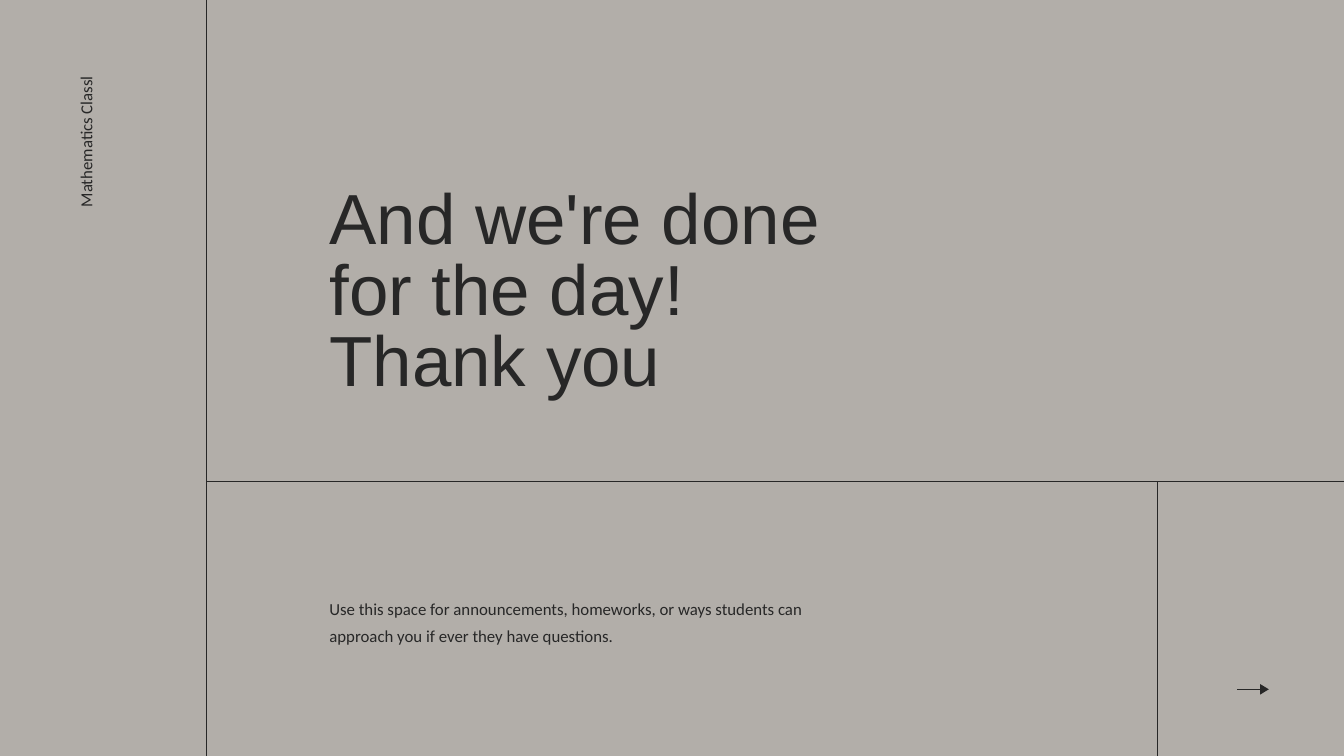
from dataclasses import dataclass

from pptx import Presentation
from pptx.dml.color import RGBColor
from pptx.enum.shapes import MSO_CONNECTOR
from pptx.enum.text import MSO_ANCHOR, MSO_AUTO_SIZE, PP_ALIGN
from pptx.oxml.ns import qn
from pptx.shapes.base import BaseShape
from pptx.slide import Slide
from pptx.util import Cm, Pt

STRAIGHT = MSO_CONNECTOR.STRAIGHT
TOP = MSO_ANCHOR.TOP
FIXED = MSO_AUTO_SIZE.NONE
LEFT, RIGHT = PP_ALIGN.LEFT, PP_ALIGN.RIGHT

COLORS = {"back": "B2AEA9", "ink": "272727"}
INK = RGBColor.from_string(COLORS["ink"])
WIDE, HIGH = 50.8, 28.58
SIDE_X, SPLIT_X, SPLIT_Y = 7.81, 43.75, 18.2
TEXT_X = 12.45
ARROW_Y = 26.06


@dataclass
class Rule:
    x1: float
    y1: float
    x2: float
    y2: float
    weight: float = 0.75


@dataclass
class Box:
    left: float
    top: float
    width: float
    height: float
    turn: int = 0


RULES = [
    Rule(SIDE_X, 0, SIDE_X, HIGH),
    Rule(SIDE_X, SPLIT_Y, WIDE, SPLIT_Y),
    Rule(SPLIT_X, SPLIT_Y, SPLIT_X, HIGH),
    Rule(46.76, ARROW_Y, 47.7, ARROW_Y, 1.25),
]


def draw_rule(slide: Slide, rule: Rule) -> None:
    ends = [Cm(v) for v in (rule.x1, rule.y1, rule.x2, rule.y2)]
    line = slide.shapes.add_connector(STRAIGHT, *ends)
    line.line.color.rgb = INK
    line.line.width = Pt(rule.weight)
    props = line._element.spPr
    props.append(props.makeelement(qn("a:effectLst"), {}))


def draw_head(slide: Slide) -> None:
    """Draw the solid tip of the arrow."""
    back, tip, half = 47.63, 47.96, 0.2
    form = slide.shapes.build_freeform(Cm(back), Cm(ARROW_Y - half))
    form.add_line_segments(
        [(Cm(tip), Cm(ARROW_Y)), (Cm(back), Cm(ARROW_Y + half))])
    head = form.convert_to_shape()
    head.shadow.inherit = False
    head.fill.solid()
    head.fill.fore_color.rgb = INK
    head.line.fill.background()


def put_text(shape: BaseShape, box: Box, text: str, *, size: float = 18,
             font: str = "Calibri", lead: float = 28.8,
             align: PP_ALIGN = LEFT) -> None:
    """Place a text shape and fill it, one paragraph per line of text."""
    shape.left, shape.top = Cm(box.left), Cm(box.top)
    shape.width, shape.height = Cm(box.width), Cm(box.height)
    shape.rotation = box.turn
    frame = shape.text_frame
    frame.margin_left = frame.margin_right = 0
    frame.margin_top = frame.margin_bottom = 0
    frame.word_wrap = True
    frame.auto_size = FIXED
    frame.vertical_anchor = TOP
    frame.text = text
    for para in frame.paragraphs:
        para.alignment = align
        para.line_spacing = Pt(lead)
        para.space_before = Pt(0)
        para.font.size = Pt(size)
        para.font.name = font
        para.font.color.rgb = INK


def add_box(slide: Slide) -> BaseShape:
    return slide.shapes.add_textbox(0, 0, Cm(1), Cm(1))


def main() -> None:
    deck = Presentation()
    deck.slide_width, deck.slide_height = Cm(WIDE), Cm(HIGH)
    slide = deck.slides.add_slide(deck.slide_layouts.get_by_name("Title Only"))
    slide.background.fill.solid()
    slide.background.fill.fore_color.rgb = RGBColor.from_string(COLORS["back"])

    for rule in RULES:
        draw_rule(slide, rule)
    draw_head(slide)

    put_text(slide.shapes.title, Box(TEXT_X, 7.09, 23.85, 8.13),
             "And we're done\nfor the day!\nThank you",
             size=76, font="Arial", lead=76)
    put_text(add_box(slide), Box(TEXT_X, 22.38, 19.81, 1.93),
             "Use this space for announcements, homeworks, or ways students "
             "can approach you if ever they have questions.")
    put_text(add_box(slide), Box(-7.9, 13.51, 22.15, 0.89, turn=270),
             "Mathematics Classl", lead=25.2, align=RIGHT)
    deck.save("out.pptx")


if __name__ == "__main__":
    main()
